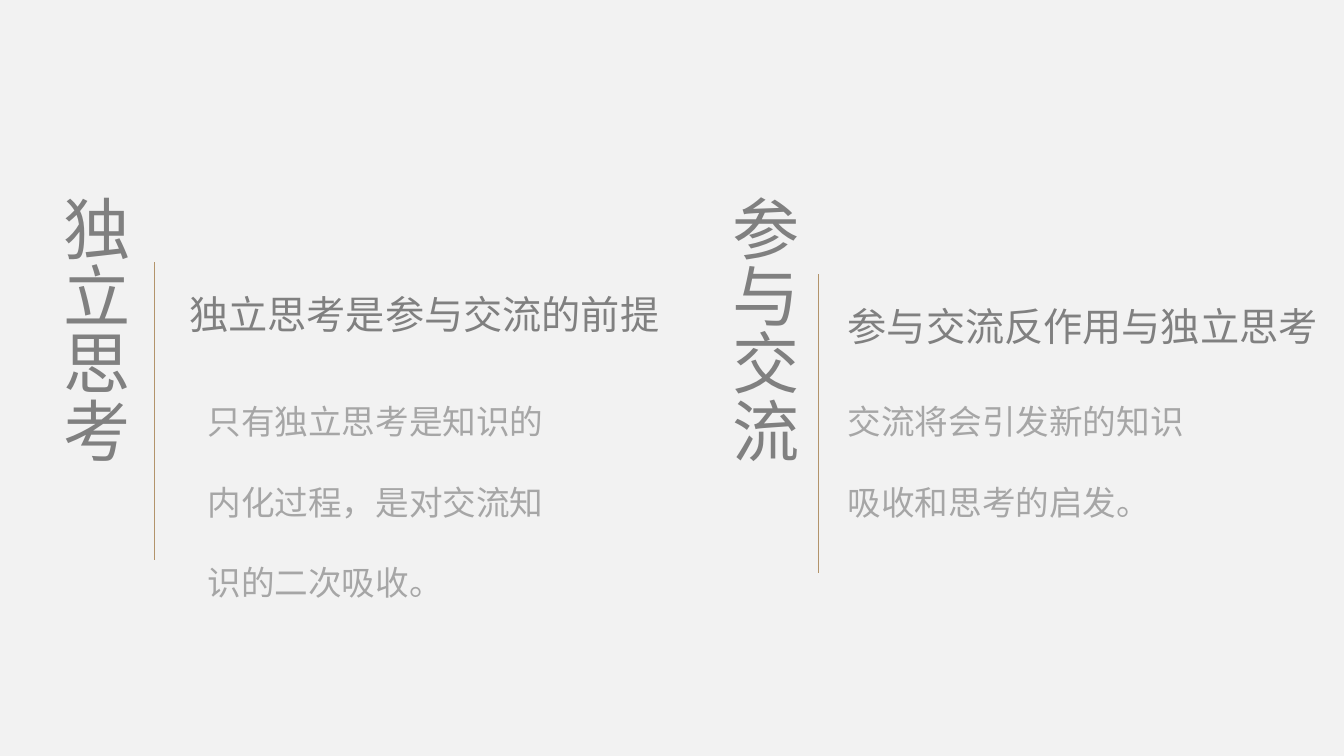
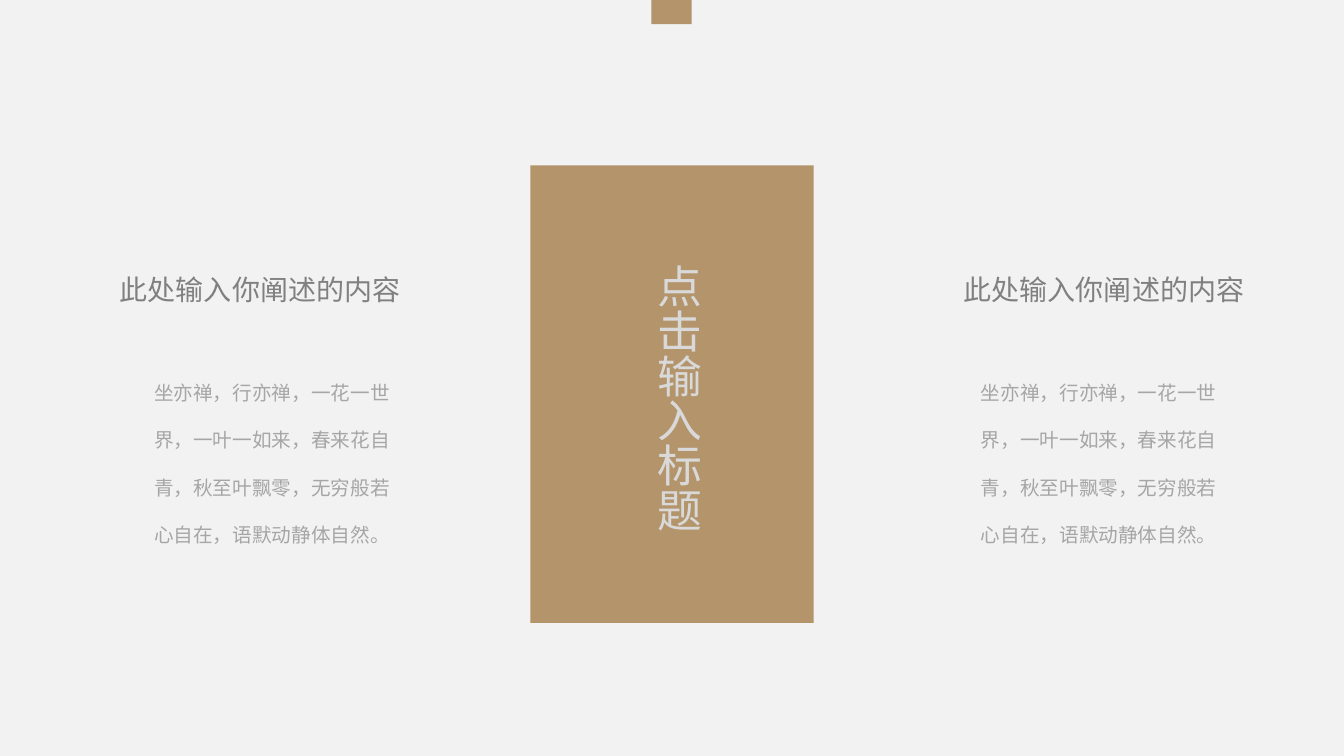
from dataclasses import dataclass

from lxml.etree import SubElement
from pptx import Presentation
from pptx.dml.color import RGBColor
from pptx.enum.shapes import MSO_CONNECTOR, MSO_SHAPE
from pptx.enum.text import MSO_AUTO_SIZE
from pptx.oxml.ns import qn
from pptx.util import Inches, Pt


@dataclass(frozen=True)
class Theme:
    """Colours, font and type sizes shared by the slides."""
    font: str = "Noto Sans CJK SC"
    paper: RGBColor = RGBColor.from_string("F2F2F2")
    accent: RGBColor = RGBColor.from_string("B3946B")
    heading: RGBColor = RGBColor.from_string("808080")
    body: RGBColor = RGBColor.from_string("A6A6A6")
    pale: RGBColor = RGBColor.from_string("D9D9D9")
    title_size: int = 48
    banner_size: int = 32
    topic_size: int = 28
    topic_body_size: int = 24
    column_size: int = 20
    column_body_size: int = 14
    heading_spacing: float = 1.5
    body_spacing: float = 2.0


THEME = Theme()


def add_text(slide, text, box, *, size, color, spacing=None, wrap=False, vertical=False):
    """Add a text box at box (left, top, width, height) in inches."""
    sp = slide.shapes.add_textbox(*map(Inches, box))
    tf = sp.text_frame
    tf.word_wrap = wrap
    tf.auto_size = MSO_AUTO_SIZE.SHAPE_TO_FIT_TEXT
    if vertical:
        tf._txBody.bodyPr.set("vert", "eaVert")
    p = tf.paragraphs[0]
    if spacing:
        p.line_spacing = spacing
    r = p.add_run()
    r.text = text
    r.font.size = Pt(size)
    r.font.name = THEME.font
    r.font.color.rgb = color
    SubElement(r.font._element, qn("a:ea")).set("typeface", THEME.font)
    return sp


def add_heading(slide, text, box, size):
    """Add a one-line heading."""
    add_text(slide, text, box, size=size, color=THEME.heading,
             spacing=THEME.heading_spacing)


def add_body(slide, text, box, size):
    """Add a wrapped, widely spaced paragraph."""
    add_text(slide, text, box, size=size, color=THEME.body,
             spacing=THEME.body_spacing, wrap=True)


def add_block(slide, box):
    """Add a plain accent rectangle."""
    sp = slide.shapes.add_shape(MSO_SHAPE.RECTANGLE, *map(Inches, box))
    sp.shadow.inherit = False
    sp.fill.solid()
    sp.fill.fore_color.rgb = THEME.accent
    sp.line.fill.background()


def add_rule(slide, left, top, length):
    """Add a vertical accent line."""
    cxn = slide.shapes.add_connector(
        MSO_CONNECTOR.STRAIGHT,
        *map(Inches, (left, top, left, top + length)))
    cxn.line.color.rgb = THEME.accent
    cxn.line.width = Pt(1)
    SubElement(cxn._element.spPr, qn("a:effectLst"))


def add_topic(slide, left, top, title, heading, body, *, rule, heading_dx, body_dx, body_size):
    """Place a vertical title, a rule, a heading and a paragraph from left and top."""
    rule_dx, rule_dy = rule
    add_text(slide, title, (left, top, 1.01, 2.77), size=THEME.title_size,
             color=THEME.heading, vertical=True)
    add_rule(slide, left + rule_dx, top + rule_dy, 2.96)
    add_heading(slide, heading, (left + heading_dx, top + rule_dy, 4.87, 0.81),
                THEME.topic_size)
    add_body(slide, body, (left + body_dx, top + 1.69, *body_size), THEME.topic_body_size)


def add_column(slide, left, top, heading, body, *, body_dx):
    """Place a heading over a paragraph from left and top."""
    add_heading(slide, heading, (left, top, 3.01, 0.53), THEME.column_size)
    add_body(slide, body, (left + body_dx, top + 1.01, 2.68, 1.99),
             THEME.column_body_size)


def add_banner(slide, left, top, title):
    """Place the central block with its vertical title."""
    add_block(slide, (left, top, 2.81, 4.54))
    add_text(slide, title, (left + 1.04, top + 0.88, 0.74, 2.79),
             size=THEME.banner_size, color=THEME.pale, vertical=True)


def build_topics(slide):
    """Build the slide of two topics."""
    top = 1.84
    add_topic(slide, 0.38, top, "独立思考", "独立思考是参与交流的前提",
              "只有独立思考是知识的内化过程，是对交流知识的二次吸收。",
              rule=(1.15, 0.76), heading_dx=1.4, body_dx=1.58, body_size=(3.83, 2.52))
    add_topic(slide, 7.01, top, "参与交流", "参与交流反作用与独立思考",
              "交流将会引发新的知识吸收和思考的启发。",
              rule=(1.11, 0.88), heading_dx=1.3, body_dx=1.3, body_size=(3.86, 1.72))


def build_columns(slide):
    """Build the slide of two columns beside a central banner."""
    heading = "此处输入你阐述的内容"
    body = "坐亦禅，行亦禅，一花一世界，一叶一如来，春来花自青，秋至叶飘零，无穷般若心自在，语默动静体自然。"
    add_block(slide, (6.46, 0, 0.4, 0.24))
    add_banner(slide, 5.26, 1.64, "点击输入标题")
    for left, body_dx in ((1.09, 0.34), (9.46, 0.17)):
        add_column(slide, left, 2.49, heading, body, body_dx=body_dx)


def main():
    """Build and save the presentation."""
    prs = Presentation()
    prs.slide_width, prs.slide_height = Inches(13.33), Inches(7.5)
    fill = prs.slide_master.background.fill
    fill.solid()
    fill.fore_color.rgb = THEME.paper
    for build in (build_topics, build_columns):
        build(prs.slides.add_slide(prs.slide_layouts[6]))
    prs.save("out.pptx")


if __name__ == "__main__":
    main()
